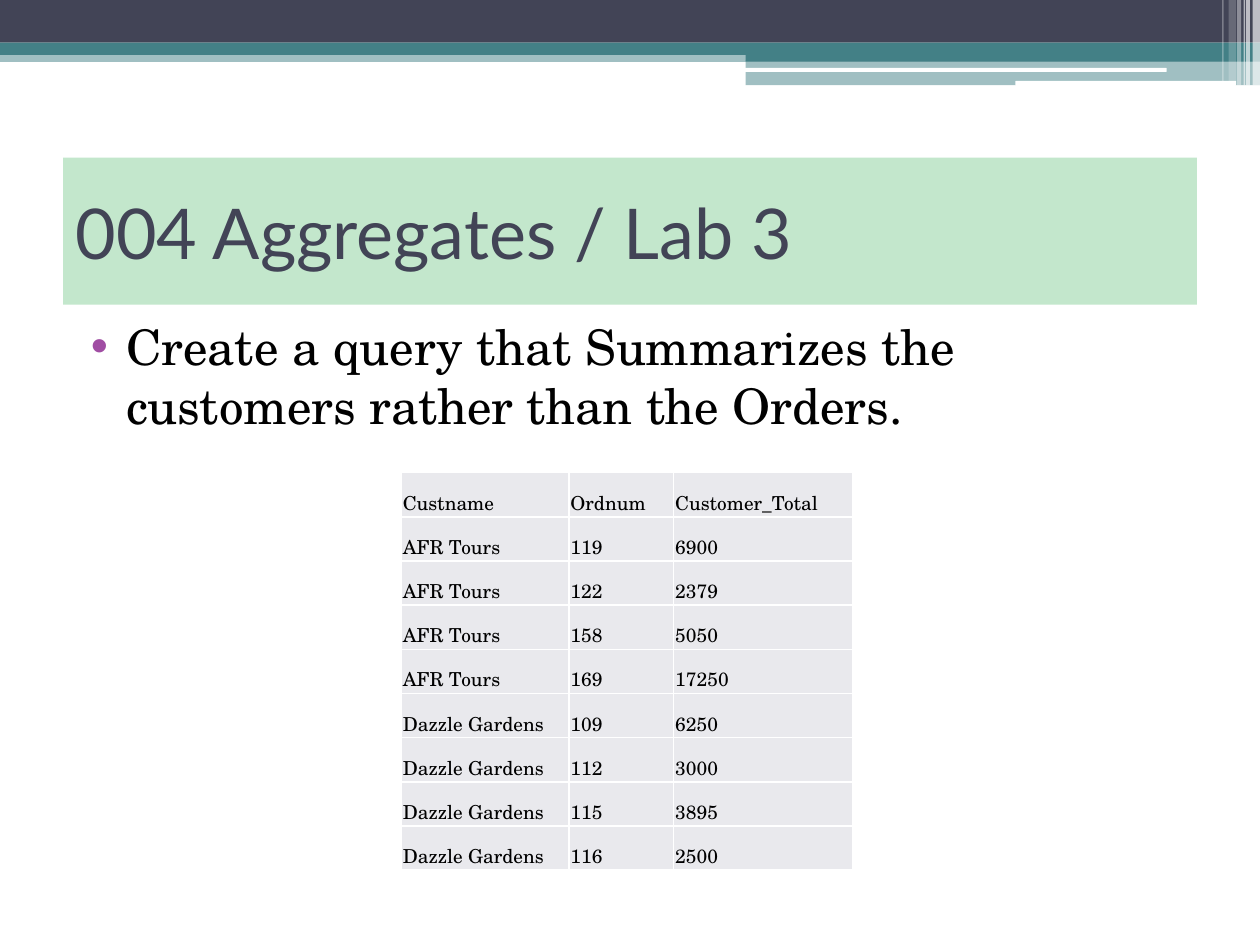
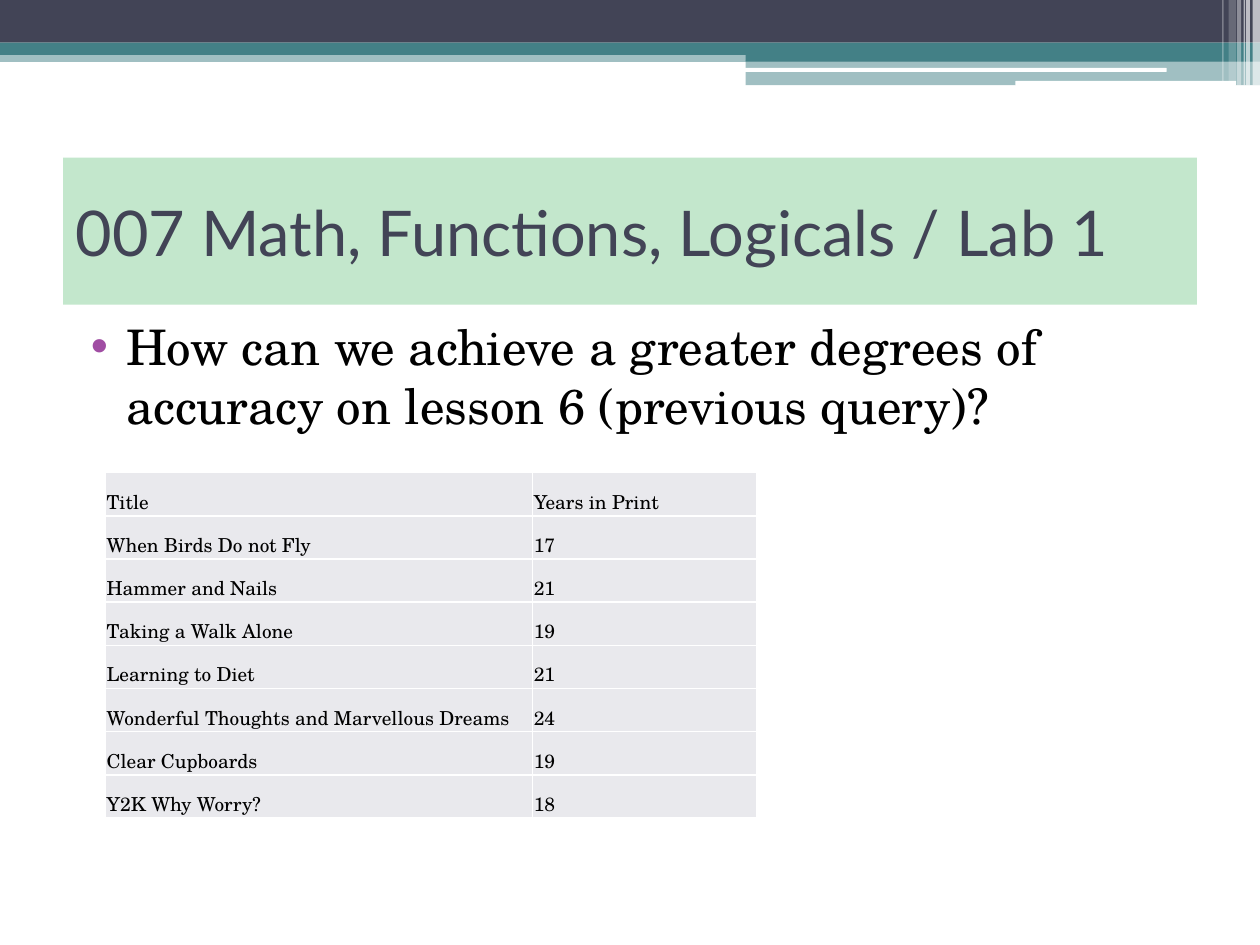
from dataclasses import dataclass

from pptx import Presentation
from pptx.dml.color import RGBColor
from pptx.enum.shapes import MSO_SHAPE as Shape
from pptx.enum.text import MSO_ANCHOR as Anchor, MSO_AUTO_SIZE as AutoSize, PP_ALIGN as Align
from pptx.oxml.ns import qn
from pptx.oxml.xmlchemy import OxmlElement as Element
from pptx.util import Cm, Pt


@dataclass(frozen=True)
class Theme:
    slate: str = "424456"
    teal: str = "438086"
    white: str = "FFFFFF"
    mint: str = "C3E7CC"
    bullet: str = "A04DA3"
    cell: str = "E9E9ED"
    black: str = "000000"
    title_font: str = "Lato"
    body_font: str = "TeX Gyre Schola"
    body_size: int = 28
    cell_size: int = 11


T = Theme()

BANDS = [
    (Shape.RECTANGLE, 0, 1.02, 25.4, 0.23, T.teal, 50),
    (Shape.RECTANGLE, 0, 0, 25.4, 0.86, T.slate, 100),
    (Shape.RECTANGLE, 0, 0.86, 25.4, 0.25, T.teal, 100),
    (Shape.RECTANGLE, 15.03, 0.99, 10.37, 0.25, T.teal, 100),
    (Shape.RECTANGLE, 15.03, 1.22, 10.37, 0.5, T.teal, 50),
    (Shape.ROUNDED_RECTANGLE, 15.01, 1.37, 8.51, 0.08, T.white, 100),
    (Shape.ROUNDED_RECTANGLE, 20.47, 1.63, 4.45, 0.1, T.white, 100),
]

STRIPES = [
    (25.25, 0.15, 1.73, 65),
    (25.12, 0.08, 1.73, 65),
    (25.07, 0.03, 1.73, 60),
    (24.94, 0.08, 1.73, 40),
    (24.77, 0.15, 1.63, 20),
    (24.64, 0.03, 1.63, 30),
]

CUSTOMER_TOTALS = [
    ("Custname", "Ordnum", "Customer_Total"),
    ("AFR Tours", "119", "6900"),
    ("AFR Tours", "122", "2379"),
    ("AFR Tours", "158", "5050"),
    ("AFR Tours", "169", "17250"),
    ("Dazzle Gardens", "109", "6250"),
    ("Dazzle Gardens", "112", "3000"),
    ("Dazzle Gardens", "115", "3895"),
    ("Dazzle Gardens", "116", "2500"),
]

YEARS_IN_PRINT = [
    ("Title", "Years in Print"),
    ("When Birds Do not Fly", "17"),
    ("Hammer and Nails", "21"),
    ("Taking a Walk Alone", "19"),
    ("Learning to Diet", "21"),
    ("Wonderful Thoughts and Marvellous Dreams", "24"),
    ("Clear Cupboards", "19"),
    ("Y2K Why Worry?", "18"),
]


def add_child(parent, tag, **attrs):
    child = Element(tag)
    for name, value in attrs.items():
        child.set(name, str(value))
    parent.append(child)
    return child


def set_fill(fill, color, opacity=100):
    fill.solid()
    fill.fore_color.rgb = RGBColor.from_string(color)
    if opacity < 100:
        srgb = fill.fore_color._xFill.find(qn("a:srgbClr"))
        add_child(srgb, "a:alpha", val=opacity * 1000)


def style_text(tf, font, size, color):
    for p in tf.paragraphs:
        p.alignment = Align.LEFT
        for r in p.runs:
            r.font.name = font
            r.font.size = Pt(size)
            r.font.color.rgb = RGBColor.from_string(color)


def place(s, left, top, width, height):
    s.left, s.top, s.width, s.height = Cm(left), Cm(top), Cm(width), Cm(height)


def add_band(slide, kind, left, top, width, height, color, opacity):
    s = slide.shapes.add_shape(kind, Cm(left), Cm(top), Cm(width), Cm(height))
    s.shadow.inherit = False
    s.line.fill.background()
    set_fill(s.fill, color, opacity)
    return s


def move_to_layout(layout, shapes):
    tree = layout.shapes.element
    for i, s in enumerate(shapes):
        s.element.nvSpPr.cNvPr.set("id", str(100 + i))
        tree.insert(2 + i, s.element)


def add_header(slide):
    stripes = [(Shape.RECTANGLE, left, 0, width, height, T.white, opacity)
               for left, width, height, opacity in STRIPES]
    bands = [add_band(slide, *band) for band in BANDS + stripes]
    move_to_layout(slide.slide_layout, bands)


def set_title(slide, text, size):
    s = slide.shapes.title
    place(s, 1.27, 3.18, 22.86, 2.96)
    set_fill(s.fill, T.mint)
    tf = s.text_frame
    tf.text = text
    tf.auto_size = AutoSize.NONE
    tf.vertical_anchor = Anchor.MIDDLE
    style_text(tf, T.title_font, size, T.slate)


def set_body(slide, text):
    s = slide.placeholders[1]
    place(s, 1.27, 6.25, 22.86, 12.01)
    tf = s.text_frame
    tf.text = text
    tf.auto_size = AutoSize.NONE
    style_text(tf, T.body_font, T.body_size, T.black)
    p = tf.paragraphs[0]
    p.space_before = Pt(3)
    pPr = p._p.get_or_add_pPr()
    pPr.set("marL", str(Cm(1.02)))
    pPr.set("indent", str(Cm(-0.71)))
    add_child(add_child(pPr, "a:buClr"), "a:srgbClr", val=T.bullet)
    add_child(pPr, "a:buChar", char="•")


def add_borders(cell):
    tcPr = cell._tc.get_or_add_tcPr()
    for side in "LRTB":
        ln = add_child(tcPr, f"a:ln{side}", w=Pt(1))
        add_child(add_child(ln, "a:solidFill"), "a:srgbClr", val=T.white)


def fill_cell(cell, text):
    cell.text_frame.text = text
    cell.vertical_anchor = Anchor.BOTTOM
    cell.margin_left = cell.margin_right = cell.margin_top = Cm(0.03)
    cell.margin_bottom = 0
    add_borders(cell)
    set_fill(cell.fill, T.cell)
    style_text(cell.text_frame, T.body_font, T.cell_size, T.black)


def add_data_table(slide, rows, left, widths, row_height):
    frame = slide.shapes.add_table(len(rows), len(widths), Cm(left), Cm(9.53),
                                   Cm(sum(widths)), Cm(row_height * len(rows)))
    table = frame.table
    table.first_row = table.horz_banding = False
    for column, width in zip(table.columns, widths):
        column.width = Cm(width)
    for row, texts in zip(table.rows, rows):
        row.height = Cm(row_height)
        for cell, text in zip(row.cells, texts):
            fill_cell(cell, text)


def add_lab_slide(prs, title, title_size, question):
    slide = prs.slides.add_slide(prs.slide_layouts[1])
    set_title(slide, title, title_size)
    set_body(slide, question)
    return slide


def main():
    prs = Presentation()
    prs.slide_width, prs.slide_height = Cm(25.4), Cm(19.05)

    slide = add_lab_slide(prs, "004 Aggregates / Lab 3", 40,
                          "Create a query that Summarizes the customers rather than the Orders.")
    add_header(slide)
    add_data_table(slide, CUSTOMER_TOTALS, 8.09, (3.38, 2.11, 3.61), 0.89)

    slide = add_lab_slide(prs, "007 Math, Functions, Logicals / Lab 1", 36,
                          "How can we achieve a greater degrees of accuracy on lesson 6 (previous query)?")
    add_data_table(slide, YEARS_IN_PRINT, 2.12, (8.61, 4.52), 0.87)

    prs.save("out.pptx")


if __name__ == "__main__":
    main()
